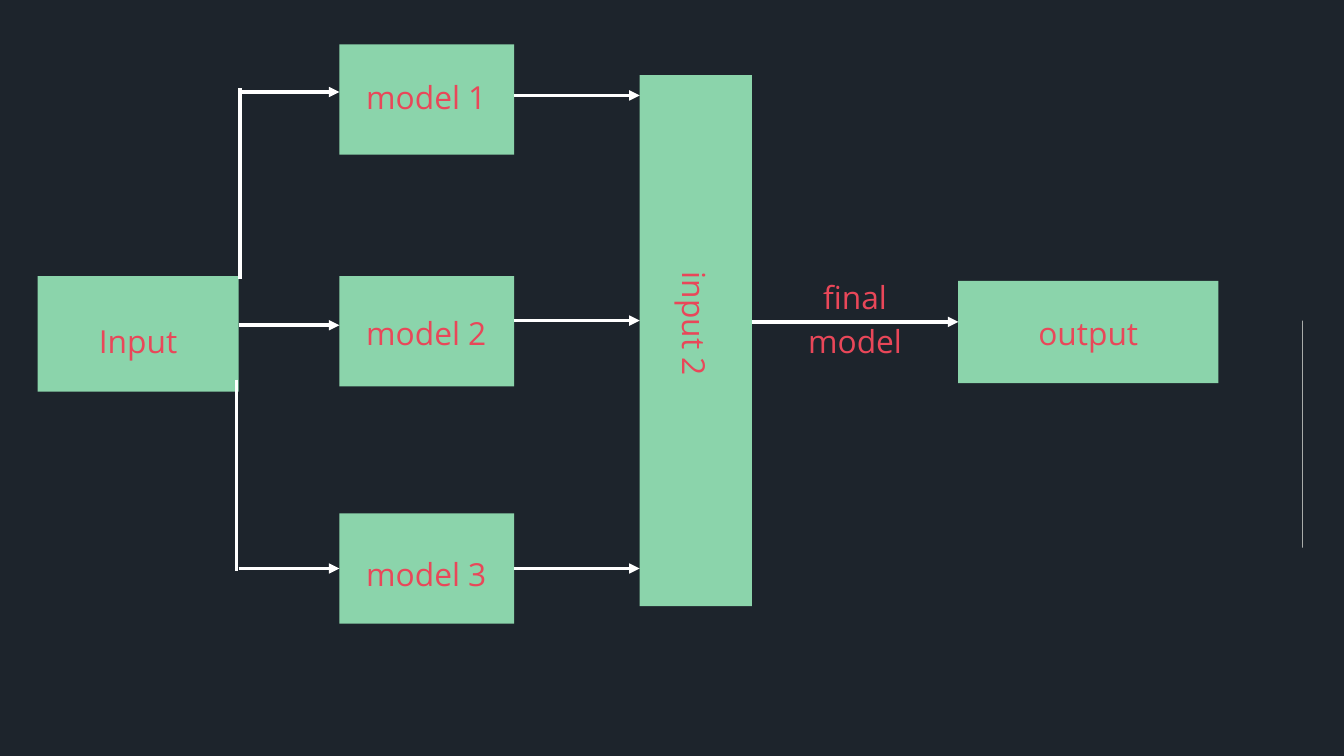
from typing import NamedTuple, Optional

from lxml.etree import SubElement
from pptx import Presentation
from pptx.dml.color import RGBColor
from pptx.enum.shapes import MSO_CONNECTOR as Connector, MSO_SHAPE as Preset
from pptx.enum.text import MSO_AUTO_SIZE as AutoSize, PP_ALIGN as Align
from pptx.oxml.ns import qn
from pptx.util import Inches, Pt

COLORS = {"background": "1D242C", "box": "8BD4AB", "label": "E94759",
          "arrow": "FFFFFF", "rule": "F5F5EF"}
FONT = "Open Sans"
LEFT_SIDE, RIGHT_SIDE = 1, 3
LABEL_WIDTH, LABEL_HEIGHT = 3.87, 0.64
INPUT_RIGHT, MODEL_LEFT, MODEL_RIGHT = 3.55, 5.05, 7.65
INPUT2_LEFT, INPUT2_RIGHT, OUTPUT_LEFT = 9.52, 11.19, 14.26


class Box(NamedTuple):
    left: float
    top: float
    width: float
    height: float
    color: str = "box"


class Label(NamedTuple):
    text: str
    left: float
    top: float
    width: float = LABEL_WIDTH
    rotation: float = 0


class Line(NamedTuple):
    x1: float
    y1: float
    x2: float
    y2: float
    arrow: bool = True
    source: Optional[str] = None
    target: Optional[str] = None


BOXES = {
    "rule": Box(19.38, 4.77, 0.01, 3.38, "rule"),
    "input": Box(0.56, 4.11, 2.99, 1.72),
    **{f"model {number}": Box(MODEL_LEFT, top, 2.6, 1.64)
       for number, top in enumerate((0.66, 4.11, 7.64), 1)},
    "input 2": Box(INPUT2_LEFT, 1.12, 1.67, 7.9),
    "output": Box(OUTPUT_LEFT, 4.18, 3.87, 1.52),
}

LINES = [
    Line(MODEL_RIGHT, 1.42, INPUT2_LEFT, 1.42),
    Line(MODEL_RIGHT, 4.77, INPUT2_LEFT, 4.77),
    Line(MODEL_RIGHT, 8.46, INPUT2_LEFT, 8.46, source="model 3"),
    Line(INPUT2_RIGHT, 4.79, OUTPUT_LEFT, 4.79),
    Line(INPUT_RIGHT, 4.84, MODEL_LEFT, 4.84),
    Line(INPUT_RIGHT, 1.37, MODEL_LEFT, 1.37),
    Line(INPUT_RIGHT, 8.46, MODEL_LEFT, 8.46, target="model 3"),
    Line(3.52, 5.65, 3.52, 8.49, arrow=False),
    Line(3.57, 1.31, 3.57, 4.15, arrow=False),
]

LABELS = [
    Label("output", OUTPUT_LEFT, 4.58),
    *(Label(f"model {number}", 4.41, top)
      for number, top in enumerate((1.06, 4.58, 8.16), 1)),
    Label("Input", 0.12, 4.69),
    Label("input 2", 8.46, 4.5, rotation=90),
    Label("final model", 11.55, 4.04, width=2.35),
]


def rgb(name: str) -> RGBColor:
    return RGBColor.from_string(COLORS[name])


def draw_box(slide, box: Box):
    rectangle = slide.shapes.add_shape(
        Preset.RECTANGLE, Inches(box.left), Inches(box.top),
        Inches(box.width), Inches(box.height))
    rectangle.shadow.inherit = False
    rectangle.fill.solid()
    rectangle.fill.fore_color.rgb = rgb(box.color)
    rectangle.line.fill.background()
    return rectangle


def draw_line(slide, line: Line, rectangles: dict) -> None:
    connector = slide.shapes.add_connector(
        Connector.STRAIGHT, Inches(line.x1), Inches(line.y1),
        Inches(line.x2), Inches(line.y2))
    if line.source:
        connector.begin_connect(rectangles[line.source], RIGHT_SIDE)
    if line.target:
        connector.end_connect(rectangles[line.target], LEFT_SIDE)
    connector.line.color.rgb = rgb("arrow")
    connector.line.width = Pt(3.75)
    properties = connector._element.spPr
    if line.arrow:
        SubElement(properties.find(qn("a:ln")), qn("a:tailEnd"), type="triangle")
    SubElement(properties, qn("a:effectLst"))


def draw_label(slide, label: Label) -> None:
    textbox = slide.shapes.add_textbox(
        Inches(label.left), Inches(label.top),
        Inches(label.width), Inches(LABEL_HEIGHT))
    textbox.rotation = label.rotation
    frame = textbox.text_frame
    frame.margin_left = frame.margin_right = 0
    frame.margin_top = frame.margin_bottom = 0
    frame.word_wrap = True
    frame.auto_size = AutoSize.SHAPE_TO_FIT_TEXT
    frame.text = label.text
    paragraph = frame.paragraphs[0]
    paragraph.alignment = Align.CENTER
    paragraph.line_spacing = Pt(47.6)
    font = paragraph.runs[0].font
    font.name = FONT
    font.size = Pt(34)
    font.color.rgb = rgb("label")


def main() -> None:
    deck = Presentation()
    deck.slide_width, deck.slide_height = Inches(20), Inches(11.25)
    slide = deck.slides.add_slide(deck.slide_layouts[6])
    slide.background.fill.solid()
    slide.background.fill.fore_color.rgb = rgb("background")
    rectangles = {name: draw_box(slide, box) for name, box in BOXES.items()}
    for line in LINES:
        draw_line(slide, line, rectangles)
    for label in LABELS:
        draw_label(slide, label)
    deck.save("out.pptx")


if __name__ == "__main__":
    main()
